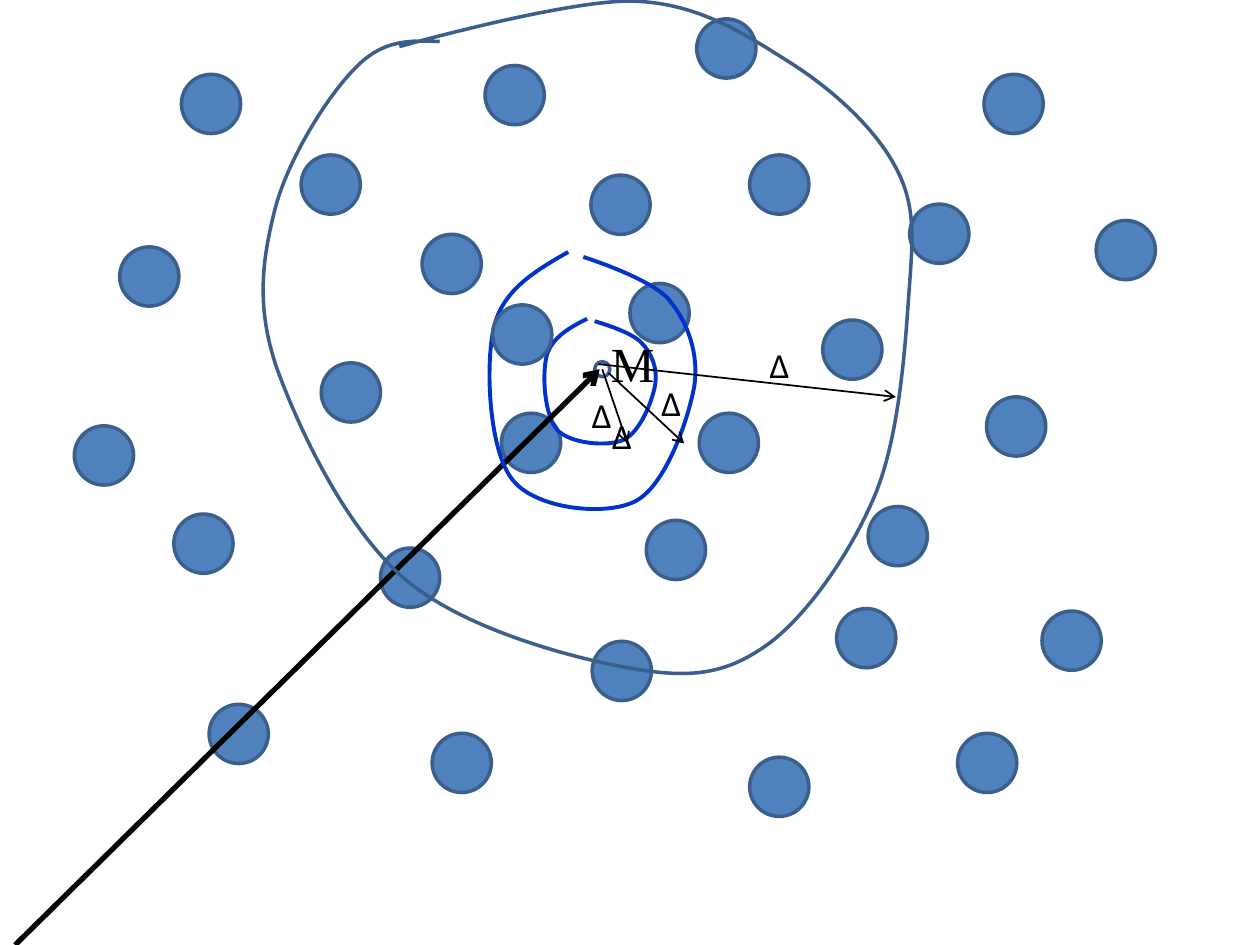
from lxml import etree
from pptx import Presentation
from pptx.dml.color import RGBColor
from pptx.enum.shapes import MSO_CONNECTOR, MSO_SHAPE
from pptx.enum.text import MSO_AUTO_SIZE
from pptx.oxml.ns import qn
from pptx.util import Inches, Pt

OVAL, STRAIGHT = MSO_SHAPE.OVAL, MSO_CONNECTOR.STRAIGHT
FIT_SHAPE = MSO_AUTO_SIZE.SHAPE_TO_FIT_TEXT
ATOM_FILL = RGBColor(0x4F, 0x81, 0xBD)
ATOM_LINE = RGBColor(0x3A, 0x5F, 0x8C)
SHELL_BLUE = RGBColor(0x00, 0x33, 0xCC)
BLACK = RGBColor(0, 0, 0)

ATOM_SIZE, CENTRE_SIZE = 0.47, 0.12
ATOMS = [
    (3.35, 1.86), (4.69, 1.39), (5, 2.25), (3.98, 3.28), (5.55, 3.28),
    (2.55, 2.88), (5.13, 4.13), (5.95, 1.23), (3.02, 4.35), (2.39, 1.23),
    (6.53, 2.54), (6.89, 4.02), (4.7, 5.09), (6.64, 4.83), (7.22, 1.62),
    (7.83, 3.15), (3.43, 5.82), (5.95, 6.01), (8.27, 4.85), (1.38, 4.08),
    (0.95, 1.96), (3.85, 0.52), (1.66, 5.59), (7.6, 5.82), (5.53, 0.15),
    (7.81, 0.59), (1.44, 0.59), (8.7, 1.75), (0.59, 3.38),
]
FRONT_ATOM = (3.91, 2.42)
CENTRE = (4.72, 2.87)

# Start point, then two control points and an end point per curve
INNER_SHELL = [
    (4.66, 2.53),
    (4.52, 2.6), (4.38, 2.68), (4.34, 2.82),
    (4.3, 2.97), (4.32, 3.29), (4.42, 3.41),
    (4.52, 3.52), (4.82, 3.55), (4.95, 3.49),
    (5.08, 3.43), (5.18, 3.18), (5.2, 3.05),
    (5.22, 2.92), (5.17, 2.8), (5.09, 2.72),
    (5.01, 2.63), (4.72, 2.55), (4.72, 2.55),
]
MIDDLE_SHELL = [
    (4.51, 2),
    (4.25, 2.15), (3.99, 2.3), (3.92, 2.6),
    (3.85, 2.9), (3.88, 3.58), (4.07, 3.81),
    (4.25, 4.04), (4.8, 4.1), (5.04, 3.98),
    (5.28, 3.86), (5.46, 3.34), (5.51, 3.07),
    (5.55, 2.81), (5.46, 2.56), (5.31, 2.38),
    (5.17, 2.21), (4.63, 2.04), (4.63, 2.04),
]
OUTER_SHELL = [
    (3.49, 0.33),
    (3.26, 0.32), (3.04, 0.31), (2.82, 0.54),
    (2.6, 0.76), (2.28, 1.27), (2.18, 1.67),
    (2.08, 2.07), (2.03, 2.44), (2.2, 2.93),
    (2.38, 3.42), (2.75, 4.21), (3.23, 4.61),
    (3.7, 5), (4.56, 5.23), (5.04, 5.31),
    (5.51, 5.39), (5.78, 5.34), (6.1, 5.11),
    (6.41, 4.88), (6.75, 4.39), (6.94, 3.94),
    (7.13, 3.49), (7.18, 2.81), (7.21, 2.38),
    (7.24, 1.95), (7.28, 1.66), (7.12, 1.35),
    (6.96, 1.03), (6.61, 0.71), (6.26, 0.49),
    (5.91, 0.27), (5.55, 0.03), (5.04, 0.01),
    (4.52, -0.01), (3.17, 0.37), (3.17, 0.37),
]

POSITION_ARROW = ((0.12, 7.5), (4.76, 2.93))
INNER_RADIUS = ((4.78, 2.93), (4.98, 3.52))
OUTER_RADII = [((4.83, 2.96), (5.43, 3.52)), ((4.75, 2.89), (7.11, 3.15))]
DELTAS = [(4.6, 3.07), (4.76, 3.24), (5.15, 2.98), (6.01, 2.68)]


def style_outline(sp, color, width, fill=None):
    sp.shadow.inherit = False
    if fill is None:
        sp.fill.background()
    else:
        sp.fill.solid()
        sp.fill.fore_color.rgb = fill
    sp.line.color.rgb = color
    sp.line.width = Pt(width)


def add_circle(shapes, corner, size, fill=None):
    left, top = corner
    sp = shapes.add_shape(OVAL, Inches(left), Inches(top), Inches(size), Inches(size))
    style_outline(sp, ATOM_LINE, 2, fill)


def add_curve(shapes, points, color, width):
    """Draw an open outline of cubic curves by joining line points in threes."""
    start, *rest = [(Inches(x), Inches(y)) for x, y in points]
    builder = shapes.build_freeform(*start)
    builder.add_line_segments(rest, close=False)
    sp = builder.convert_to_shape()
    outline = next(sp._element.iter(qn("a:path")))
    segments = outline.findall(qn("a:lnTo"))
    for i in range(0, len(segments), 3):
        curve = etree.SubElement(outline, qn("a:cubicBezTo"))
        for segment in segments[i:i + 3]:
            curve.append(segment[0])
            outline.remove(segment)
    style_outline(sp, color, width)


def add_arrow(shapes, ends, width):
    (x1, y1), (x2, y2) = ends
    cxn = shapes.add_connector(STRAIGHT, Inches(x1), Inches(y1), Inches(x2), Inches(y2))
    cxn.line.color.rgb = BLACK
    cxn.line.width = Pt(width)
    etree.SubElement(cxn.line._get_or_add_ln(), qn("a:tailEnd"), type="arrow")
    etree.SubElement(cxn._element.spPr, qn("a:effectLst"))


def add_label(shapes, text, corner, width, height, size, font):
    left, top = corner
    box = shapes.add_textbox(Inches(left), Inches(top), Inches(width), Inches(height))
    tf = box.text_frame
    tf.word_wrap = True
    tf.auto_size = FIT_SHAPE
    r = tf.paragraphs[0].add_run()
    r.text = text
    r.font.size = Pt(size)
    r.font.name = font
    r.font.color.rgb = BLACK


def main():
    prs = Presentation()
    prs.slide_width, prs.slide_height = Inches(10), Inches(7.5)
    shapes = prs.slides.add_slide(prs.slide_layouts[6]).shapes

    for corner in ATOMS:
        add_circle(shapes, corner, ATOM_SIZE, ATOM_FILL)
    add_circle(shapes, CENTRE, CENTRE_SIZE)
    add_curve(shapes, INNER_SHELL, SHELL_BLUE, 2.25)
    add_arrow(shapes, POSITION_ARROW, 3)
    add_label(shapes, "M", (4.75, 2.6), 0.83, 0.57, 28, "Times New Roman")
    add_arrow(shapes, INNER_RADIUS, 1)
    add_curve(shapes, MIDDLE_SHELL, SHELL_BLUE, 2.25)
    add_circle(shapes, FRONT_ATOM, ATOM_SIZE, ATOM_FILL)
    add_curve(shapes, OUTER_SHELL, ATOM_LINE, 2)
    for ends in OUTER_RADII:
        add_arrow(shapes, ends, 1)
    for corner in DELTAS:
        add_label(shapes, "Δ", corner, 0.47, 0.44, 20, "Calibri")

    prs.save("out.pptx")


if __name__ == "__main__":
    main()
